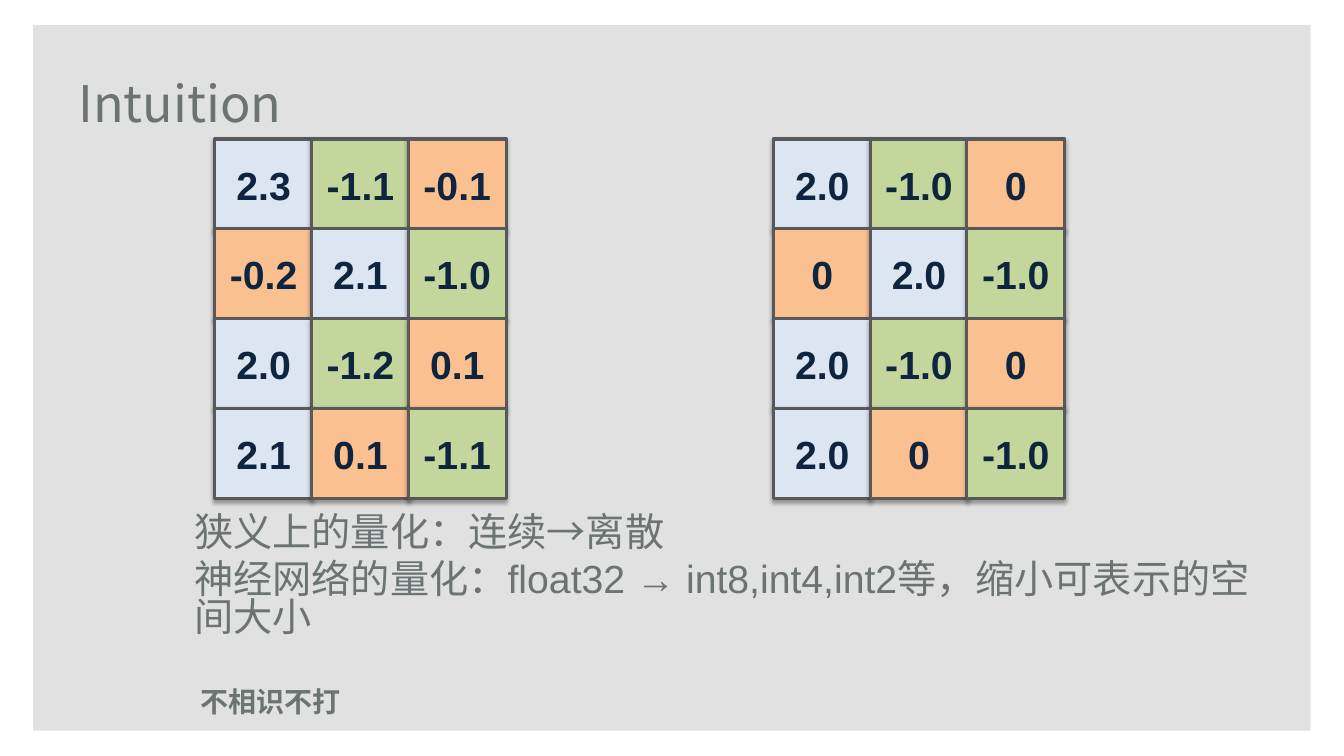
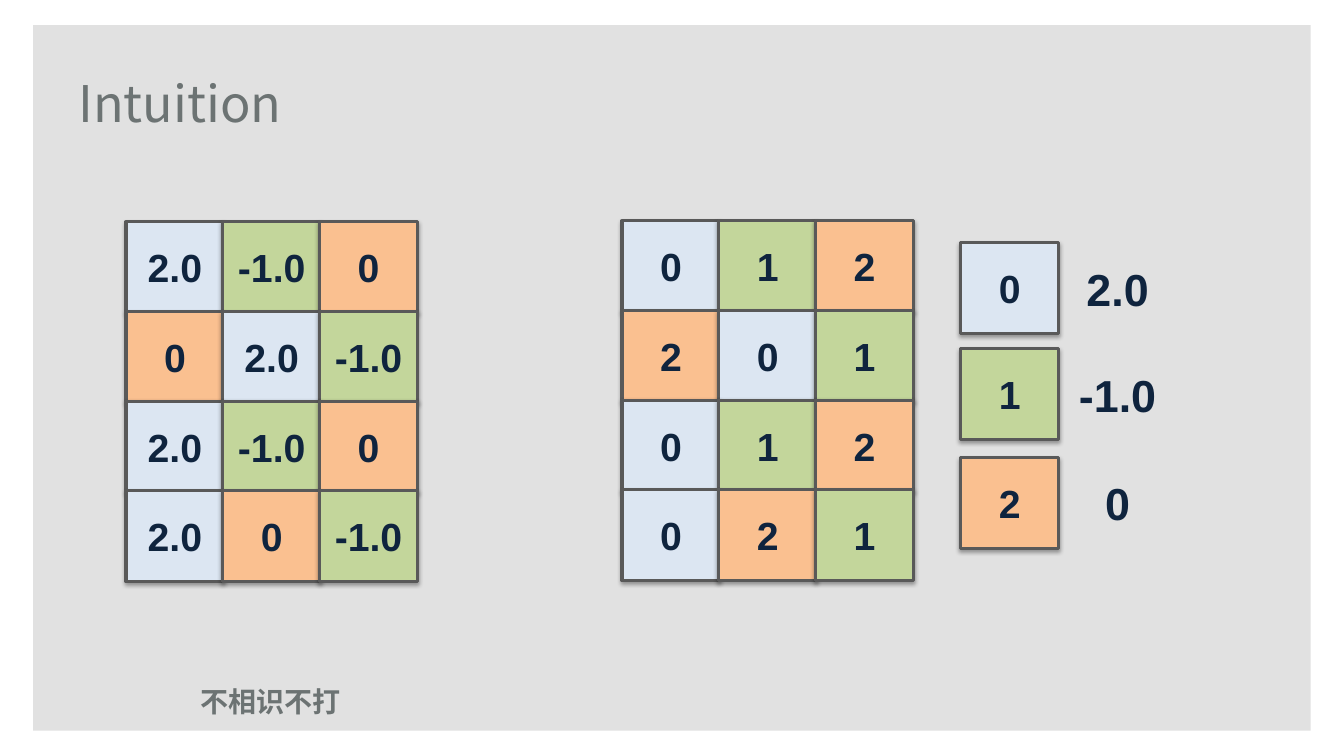
from dataclasses import dataclass

from lxml import etree
from pptx import Presentation
from pptx.dml.color import RGBColor
from pptx.enum.shapes import MSO_SHAPE
from pptx.enum.text import MSO_ANCHOR, PP_ALIGN
from pptx.oxml.ns import qn
from pptx.util import Inches, Pt

RECTANGLE = MSO_SHAPE.RECTANGLE
LEFT, CENTER = PP_ALIGN.LEFT, PP_ALIGN.CENTER
TOP, MIDDLE = MSO_ANCHOR.TOP, MSO_ANCHOR.MIDDLE


@dataclass(frozen=True)
class Theme:
    band: str = "E1E1E1"
    gray: str = "6C7373"
    navy: str = "0F243E"
    border: str = "595959"
    levels: tuple = ("DCE6F2", "C3D69B", "FAC090")
    latin: str = "Arial"
    chinese: str = "Noto Sans CJK SC"
    title_size: int = 36
    label_size: int = 32
    body_size: int = 28
    footer_size: int = 20


THEME = Theme()

# Content
TITLE = "Intuition"
FOOTER = "不相识不打"
NOTES = [
    "狭义上的量化：连续→离散",
    "神经网络的量化：float32 → int8,int4,int2等，缩小可表示的空间大小",
]
WEIGHTS = [
    ("2.3", "-1.1", "-0.1"),
    ("-0.2", "2.1", "-1.0"),
    ("2.0", "-1.2", "0.1"),
    ("2.1", "0.1", "-1.1"),
]
LEVEL_VALUES = ("2.0", "-1.0", "0")
LEVEL_GRID = [(0, 1, 2), (2, 0, 1), (0, 1, 2), (0, 2, 1)]
QUANTIZED = [[LEVEL_VALUES[level] for level in row] for row in LEVEL_GRID]
INDICES = [[str(level) for level in row] for row in LEVEL_GRID]

SLIDES = [
    {"matrices": [(WEIGHTS, 2.13, 1.38), (QUANTIZED, 7.67, 1.38)], "notes": NOTES},
    {"matrices": [(QUANTIZED, 1.25, 2.2), (INDICES, 6.17, 2.19)],
     "legend_tops": (2.41, 3.46, 4.54)},
]

# Layout, in inches
SLIDE_SIZE = (13.33, 7.5)
BAND_AREA = (0.33, 0.25, 12.67, 7)
TITLE_AREA = (0.68, 0.48, 10.55, 1.07)
FOOTER_AREA = (1.89, 6.62, 2.03, 0.67)
NOTES_AREA = (1.83, 5.07, 10.74, 2.08)
CELL_WIDTH, CELL_HEIGHT = 0.97, 0.9
COLUMN_STEP, ROW_STEP = 0.96, 0.89
LEGEND_LEFT, LABEL_LEFT = 9.53, 10.6


def inches(area):
    return [Inches(length) for length in area]


def write(shape, paragraphs, *, size, color=THEME.gray, font=THEME.latin, bold=False,
          align=LEFT, anchor=MIDDLE, wrap=True, before=0, spacing=None):
    frame = shape.text_frame
    frame.word_wrap = wrap
    frame.vertical_anchor = anchor
    for index, text in enumerate(paragraphs):
        para = frame.add_paragraph() if index else frame.paragraphs[0]
        para.alignment = align
        para.space_before = Pt(before)
        if spacing:
            para.line_spacing = spacing
        span = para.add_run()
        span.text = text
        span.font.size = Pt(size)
        span.font.bold = bold
        span.font.name = font
        span.font.color.rgb = RGBColor.from_string(color)
        properties = span.font._element
        etree.SubElement(properties, qn("a:ea"), typeface=THEME.chinese)


def add_text(page, area, paragraphs, **style):
    write(page.shapes.add_textbox(*inches(area)), paragraphs, **style)


def add_rectangle(shapes, area, fill):
    box = shapes.add_shape(RECTANGLE, *inches(area))
    box.shadow.inherit = False
    box.fill.solid()
    box.fill.fore_color.rgb = RGBColor.from_string(fill)
    box.line.fill.background()
    return box


def add_soft_shadow(box):
    effects = box._element.spPr.find(qn("a:effectLst"))
    shadow = etree.SubElement(
        effects, qn("a:outerShdw"), blurRad=str(Pt(3.1)), dist=str(Pt(1.8)),
        dir="5400000", rotWithShape="0")
    black = etree.SubElement(shadow, qn("a:srgbClr"), val="000000")
    etree.SubElement(black, qn("a:alpha"), val="35000")


def add_cell(shapes, left, top, text, level):
    cell = add_rectangle(shapes, (left, top, CELL_WIDTH, CELL_HEIGHT), THEME.levels[level])
    cell.line.color.rgb = RGBColor.from_string(THEME.border)
    cell.line.width = Pt(2.25)
    add_soft_shadow(cell)
    write(cell, [text], size=THEME.body_size, color=THEME.navy, bold=True, align=CENTER)


def add_matrix(page, values, left, top):
    """Draw the values as one group of cells, coloured by quantization level."""
    group = page.shapes.add_group_shape()
    for row, (texts, levels) in enumerate(zip(values, LEVEL_GRID)):
        for column, (text, level) in enumerate(zip(texts, levels)):
            add_cell(group.shapes, left + column * COLUMN_STEP, top + row * ROW_STEP,
                     text, level)


def add_legend(page, tops):
    for level, (top, value) in enumerate(zip(tops, LEVEL_VALUES)):
        add_cell(page.shapes, LEGEND_LEFT, top, str(level), level)
        add_text(page, (LABEL_LEFT, top, CELL_WIDTH, CELL_HEIGHT), [value],
                 size=THEME.label_size, color=THEME.navy, bold=True, align=CENTER,
                 wrap=False)


def add_page(deck):
    """Add a slide with the shared band, footer and title."""
    page = deck.slides.add_slide(deck.slide_layouts[6])
    add_rectangle(page.shapes, BAND_AREA, THEME.band)
    add_text(page, FOOTER_AREA, [FOOTER], size=THEME.footer_size, font=THEME.chinese,
             bold=True)
    add_text(page, TITLE_AREA, [TITLE], size=THEME.title_size, font=THEME.chinese)
    return page


def main():
    deck = Presentation()
    deck.slide_width, deck.slide_height = inches(SLIDE_SIZE)
    for content in SLIDES:
        page = add_page(deck)
        for values, left, top in content["matrices"]:
            add_matrix(page, values, left, top)
        if "notes" in content:
            add_text(page, NOTES_AREA, content["notes"], size=THEME.body_size,
                     anchor=TOP, before=7, spacing=0.8)
        if "legend_tops" in content:
            add_legend(page, content["legend_tops"])
    deck.save("out.pptx")


if __name__ == "__main__":
    main()
